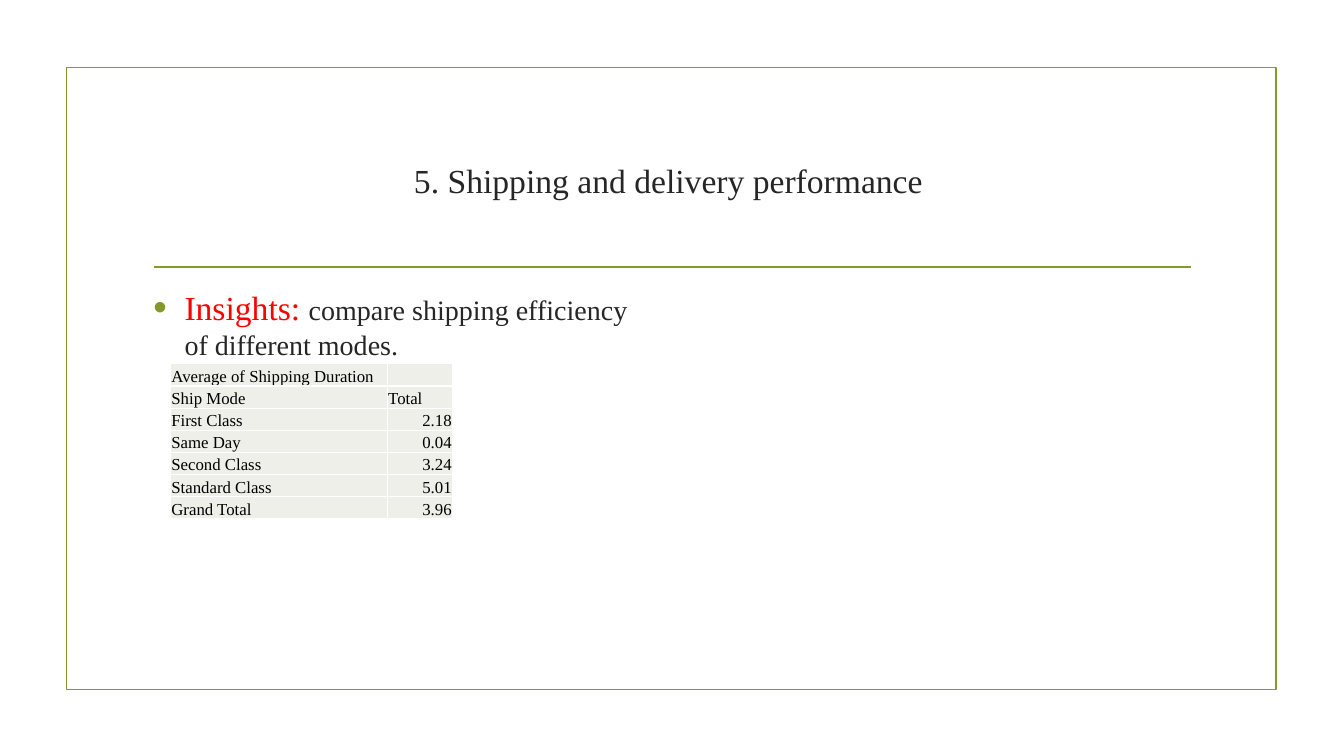
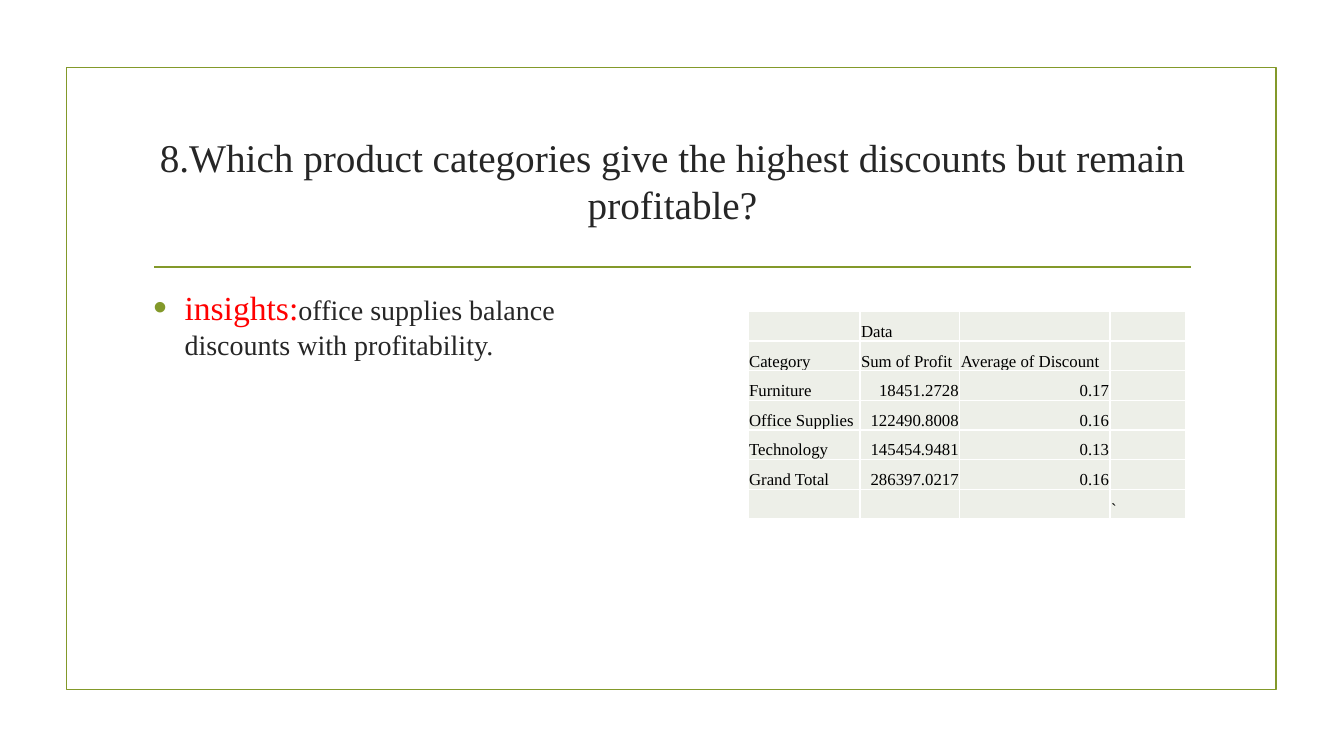
from lxml import etree
from pptx import Presentation
from pptx import util as u
from pptx.dml import color as c
from pptx.enum import shapes, text
from pptx.oxml import ns

PX = 9144
FONT = "Times New Roman"
HUES = {"green": "83992A", "ink": "262626", "red": "FF0000",
        "black": "000000", "cell": "EDEFE8"}

FRAME = (66, 67, 1200, 617)
RULE = (153, 265, 1181, 265)
TITLE = (142, 107, 1050, 143)
BODY = (142, 280, 516, 362)

SHIP = [
    ["Average of Shipping Duration", ""],
    ["Ship Mode", "Total"],
    ["First Class", "2.18"],
    ["Same Day", "0.04"],
    ["Second Class", "3.24"],
    ["Standard Class", "5.01"],
    ["Grand Total", "3.96"],
]
PROFIT = [
    ["", "Data", "", ""],
    ["Category", "Sum of Profit", "Average of Discount", ""],
    ["Furniture", "18451.2728", "0.17", ""],
    ["Office Supplies", "122490.8008", "0.16", ""],
    ["Technology", "145454.9481", "0.13", ""],
    ["Grand Total", "286397.0217", "0.16", ""],
    ["", "", "", "`"],
]
PAGES = [
    {"title": "5. Shipping and delivery performance ", "size": 24,
     "label": "Insights: ",
     "note": "compare shipping efficiency of different modes.",
     "rows": SHIP, "spot": (169, 361), "cols": (215, 65), "high": 22},
    {"title": "8.Which product categories give the highest discounts "
              "but remain profitable?", "size": 28,
     "label": "insights:",
     "note": "office supplies balance discounts with profitability.",
     "rows": PROFIT, "spot": (742, 309), "cols": (111, 99, 149, 75),
     "high": 29.4},
]


def emu(*nums):
    return [u.Emu(round(n * PX)) for n in nums]


def rgb(name):
    return c.RGBColor.from_string(HUES[name])


def apply(item, **vals):
    for key, val in vals.items():
        setattr(item, key, val)


def node(base, tag, **vals):
    return etree.SubElement(base, ns.qn(tag), vals)


def place(shape, box):
    apply(shape, **dict(zip(("left", "top", "width", "height"), emu(*box))))


def write(para, words, size, hue):
    run = para.add_run()
    run.text = words
    apply(run.font, name=FONT, size=u.Pt(size))
    run.font.color.rgb = rgb(hue)


def stroke(line):
    line.color.rgb = rgb("green")
    line.width = u.Pt(1.25)


def frame(page, layout):
    rect = page.shapes.add_shape(shapes.MSO_SHAPE.RECTANGLE, *emu(*FRAME))
    rect.shadow.inherit = False
    rect.fill.background()
    rule = page.shapes.add_connector(
        shapes.MSO_CONNECTOR.STRAIGHT, *emu(*RULE))
    for part in (rect, rule):
        stroke(part.line)
        layout.shapes.element.append(part.element)
    node(rule.element.spPr, "a:effectLst")


def title(shape, words, size, box):
    place(shape, box)
    apply(shape.text_frame, auto_size=text.MSO_AUTO_SIZE.NONE,
          vertical_anchor=text.MSO_ANCHOR.MIDDLE)
    para = shape.text_frame.paragraphs[0]
    para.alignment = text.PP_ALIGN.CENTER
    write(para, words, size, "ink")


def body(shape, label, note, box):
    place(shape, box)
    shape.text_frame.auto_size = text.MSO_AUTO_SIZE.NONE
    para = shape.text_frame.paragraphs[0]
    para.space_after = u.Pt(6)
    write(para, label, 24, "red")
    write(para, note, 20, "ink")
    props = para._p.get_or_add_pPr()
    dent = emu(31)[0]
    props.set("marL", str(dent))
    props.set("indent", str(-dent))
    node(node(props, "a:buClr"), "a:srgbClr", val=HUES["green"])
    node(props, "a:buSzPct", val="115000")
    node(props, "a:buFont", typeface="Arial")
    node(props, "a:buChar", char="•")


def fill(cell, words):
    cell.fill.solid()
    cell.fill.fore_color.rgb = rgb("cell")
    edge = emu(1)[0]
    apply(cell, margin_left=edge, margin_right=edge, margin_top=edge,
          margin_bottom=0, vertical_anchor=text.MSO_ANCHOR.BOTTOM)
    para = cell.text_frame.paragraphs[0]
    if not words:
        node(para._p, "a:endParaRPr", sz="1200")
        return
    if words[0].isdigit():
        para.alignment = text.PP_ALIGN.RIGHT
    write(para, words, 12, "black")


def grid(page, rows, spot, cols, high):
    box = (*spot, sum(cols), high * len(rows))
    table = page.shapes.add_table(len(rows), len(cols), *emu(*box)).table
    apply(table, first_row=False, horz_banding=False)
    for col, wide in zip(table.columns, emu(*cols)):
        col.width = wide
    for row, line in zip(table.rows, rows):
        row.height = emu(high)[0]
        for cell, words in zip(row.cells, line):
            fill(cell, words)


def build(page, data):
    head, main = page.placeholders
    title(head, data["title"], data["size"], TITLE)
    body(main, data["label"], data["note"], BODY)
    grid(page, data["rows"], data["spot"], data["cols"], data["high"])


def main():
    deck = Presentation()
    apply(deck, **dict(zip(("slide_width", "slide_height"), emu(1333, 750))))
    layout = deck.slide_layouts[1]
    pages = [deck.slides.add_slide(layout) for _ in PAGES]
    frame(pages[0], layout)
    for page, data in zip(pages, PAGES):
        build(page, data)
    deck.save("out.pptx")


if __name__ == "__main__":
    main()
